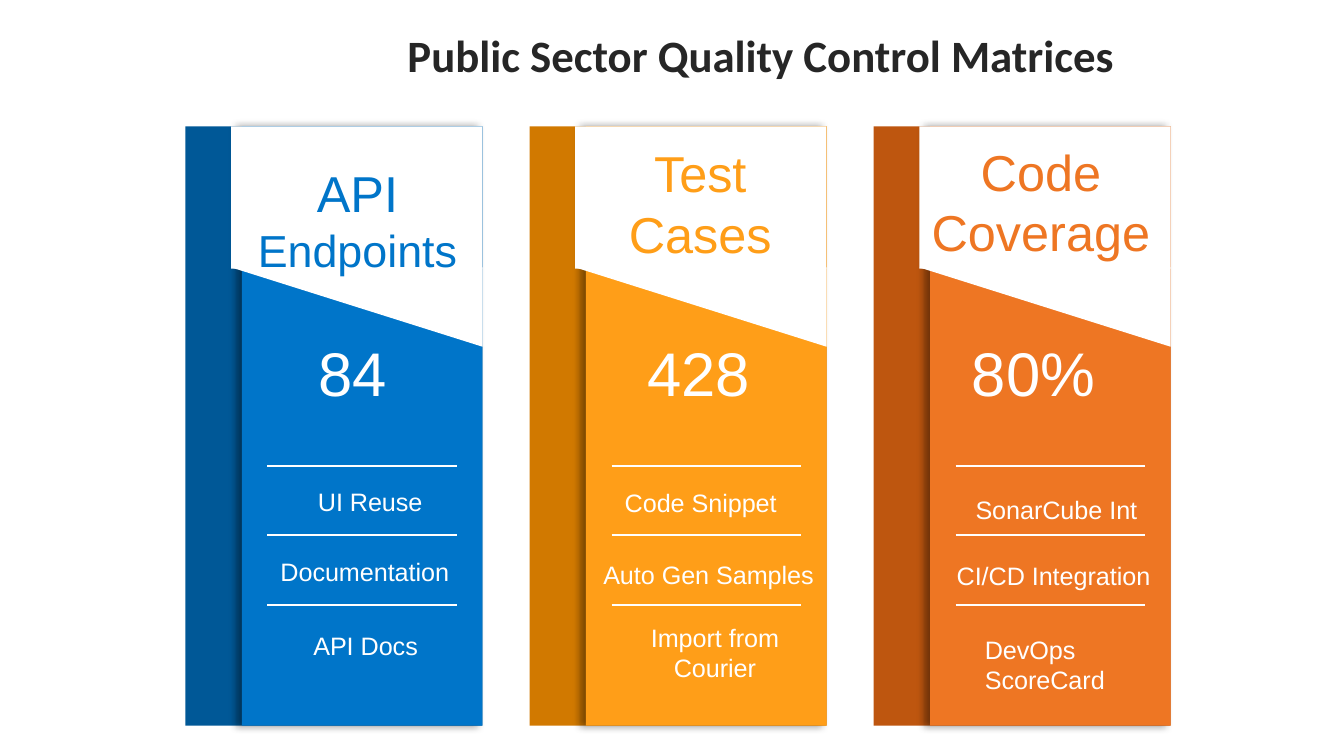
from lxml import etree
from pptx import Presentation
from pptx import util as u
from pptx.dml.color import RGBColor
from pptx.enum import shapes, text
from pptx.oxml import ns

WHITE = RGBColor(0xFF, 0xFF, 0xFF)
INK = RGBColor(0x26, 0x26, 0x26)
BLUE, NAVY = RGBColor(0x00, 0x75, 0xC9), RGBColor(0x00, 0x58, 0x97)
AMBER, BRONZE = RGBColor(0xFF, 0x9E, 0x18), RGBColor(0xD1, 0x79, 0x00)
ORANGE, RUST = RGBColor(0xEE, 0x76, 0x23), RGBColor(0xBE, 0x56, 0x0F)

LEFT, CENTER = text.PP_ALIGN.LEFT, text.PP_ALIGN.CENTER

TITLE = ("Public Sector Quality Control Matrices", (1.16, 0.2, 9, 0.68))
CARDS = [
    {
        "colors": (BLUE, NAVY),
        "heading": ([("API ", 27), ("Endpoints", 24)], (1.73, 1.16, 1.86, 0.96)),
        "value": ("84", 1.99, 1.27),
        "items": [
            (["UI Reuse"], (2.02, 3.57, 1.47, 0.33), CENTER, True),
            (["Documentation"], (1.98, 4.09, 1.47, 0.33), CENTER, False),
            (["API Docs"], (1.98, 4.64, 1.48, 0.33), CENTER, True),
        ],
    },
    {
        "colors": (AMBER, BRONZE),
        "heading": ([("Test Cases", 27)], (4.45, 1.01, 1.52, 1.01)),
        "value": ("428", 4.55, 1.3),
        "items": [
            (["Code Snippet"], (4.55, 3.58, 1.35, 0.33), LEFT, False),
            (["Auto Gen Samples"], (4.39, 4.11, 1.79, 0.33), LEFT, False),
            (["Import from Courier"], (4.44, 4.58, 1.76, 0.56), CENTER, True),
        ],
    },
    {
        "colors": (ORANGE, RUST),
        "heading": ([("Code Coverage", 27)], (6.81, 1, 1.87, 1.01)),
        "value": ("80%", 7.1, 1.18),
        "items": [
            (["SonarCube Int"], (7.16, 3.63, 1.42, 0.33), LEFT, False),
            (["CI/CD Integration"], (7.02, 4.12, 1.66, 0.33), LEFT, False),
            (["DevOps", "ScoreCard"], (7.23, 4.67, 1.16, 0.56), LEFT, False),
        ],
    },
]

CARD_LEFT, CARD_STEP, CARD_TOP = 1.38, 2.56, 0.94
CARD_WIDTH, CARD_HEIGHT = 2.21, 4.46
PANEL_INSET, FLAP_INSET, RULE_INSET = 0.42, 0.34, 0.61
FLAP_HEIGHT, SLANT_HEIGHT, OVERLAP = 1.05, 0.59, 0.01
RULE_TOPS, RULE_WIDTH = (3.47, 3.98, 4.5), 1.41
VALUE_TOP, VALUE_HEIGHT = 2.44, 0.66


def inches(place):
    return [u.Inches(length) for length in place]


def add_block(page, kind, place, color):
    block = page.shapes.add_shape(kind, *inches(place))
    block.shadow.inherit = False
    block.fill.solid()
    block.fill.fore_color.rgb = color
    block.line.fill.background()
    return block


def add_shadow(block):
    effects = block._element.spPr.find(ns.qn("a:effectLst"))
    shadow = etree.SubElement(effects, ns.qn("a:outerShdw"), blurRad=str(u.Pt(4)),
                              dist=str(u.Pt(3)), dir="10800000", algn="r", rotWithShape="0")
    color = etree.SubElement(shadow, ns.qn("a:srgbClr"), val="000000")
    etree.SubElement(color, ns.qn("a:alpha"), val="40000")


def add_rule(page, left, top):
    ends = inches((left, top, left + RULE_WIDTH, top))
    rule = page.shapes.add_connector(shapes.MSO_CONNECTOR.STRAIGHT, *ends)
    rule.line.color.rgb = WHITE
    rule.line.width = u.Pt(1)
    etree.SubElement(rule._element.spPr, ns.qn("a:effectLst"))


def add_text(page, place, lines, color, align=CENTER, wrap=True, grow=True, **formats):
    box = page.shapes.add_textbox(*inches(place))
    frame = box.text_frame
    frame.word_wrap = wrap
    frame.auto_size = (text.MSO_AUTO_SIZE.SHAPE_TO_FIT_TEXT if grow
                       else text.MSO_AUTO_SIZE.NONE)
    for index, line in enumerate(lines):
        para = frame.paragraphs[0] if index == 0 else frame.add_paragraph()
        para.alignment = align
        for words, size in line:
            span = para.add_run()
            span.text = words
            span.font.color.rgb = color
            for name, value in {"name": "Arial", "size": u.Pt(size), **formats}.items():
                setattr(span.font, name, value)
    return box


def add_card(page, left, card):
    bright, dark = card["colors"]
    rectangle = shapes.MSO_SHAPE.RECTANGLE
    add_block(page, rectangle, (left, CARD_TOP, CARD_WIDTH, CARD_HEIGHT), dark)
    panel = (left + PANEL_INSET, CARD_TOP, CARD_WIDTH - PANEL_INSET, CARD_HEIGHT)
    add_shadow(add_block(page, rectangle, panel, bright))
    flap_left, flap_width = left + FLAP_INSET, CARD_WIDTH - FLAP_INSET
    add_block(page, rectangle, (flap_left, CARD_TOP, flap_width, FLAP_HEIGHT + OVERLAP), WHITE)
    slant = add_block(page, shapes.MSO_SHAPE.RIGHT_TRIANGLE,
                      (flap_left, CARD_TOP + FLAP_HEIGHT, flap_width, SLANT_HEIGHT), WHITE)
    slant.rotation = 180

    for top in RULE_TOPS:
        add_rule(page, left + RULE_INSET, top)
    for lines, place, align, wrap in card["items"]:
        add_text(page, place, [[(line, 13.5)] for line in lines], WHITE, align, wrap)
    value, value_left, value_width = card["value"]
    add_text(page, (value_left, VALUE_TOP, value_width, VALUE_HEIGHT), [[(value, 33)]], WHITE)
    heading, place = card["heading"]
    add_text(page, place, [heading], bright)


def main():
    deck = Presentation()
    deck.slide_width = u.Inches(10)
    deck.slide_height = deck.slide_width * 9 // 16
    page = deck.slides.add_slide(deck.slide_layouts[6])
    for index, card in enumerate(CARDS):
        add_card(page, CARD_LEFT + index * CARD_STEP, card)
    words, place = TITLE
    title = add_text(page, place, [[(words, 24)]], INK, grow=False, name="Calibri", bold=True)
    title.text_frame.paragraphs[0].line_spacing = 0.9
    deck.save("out.pptx")


if __name__ == "__main__":
    main()
